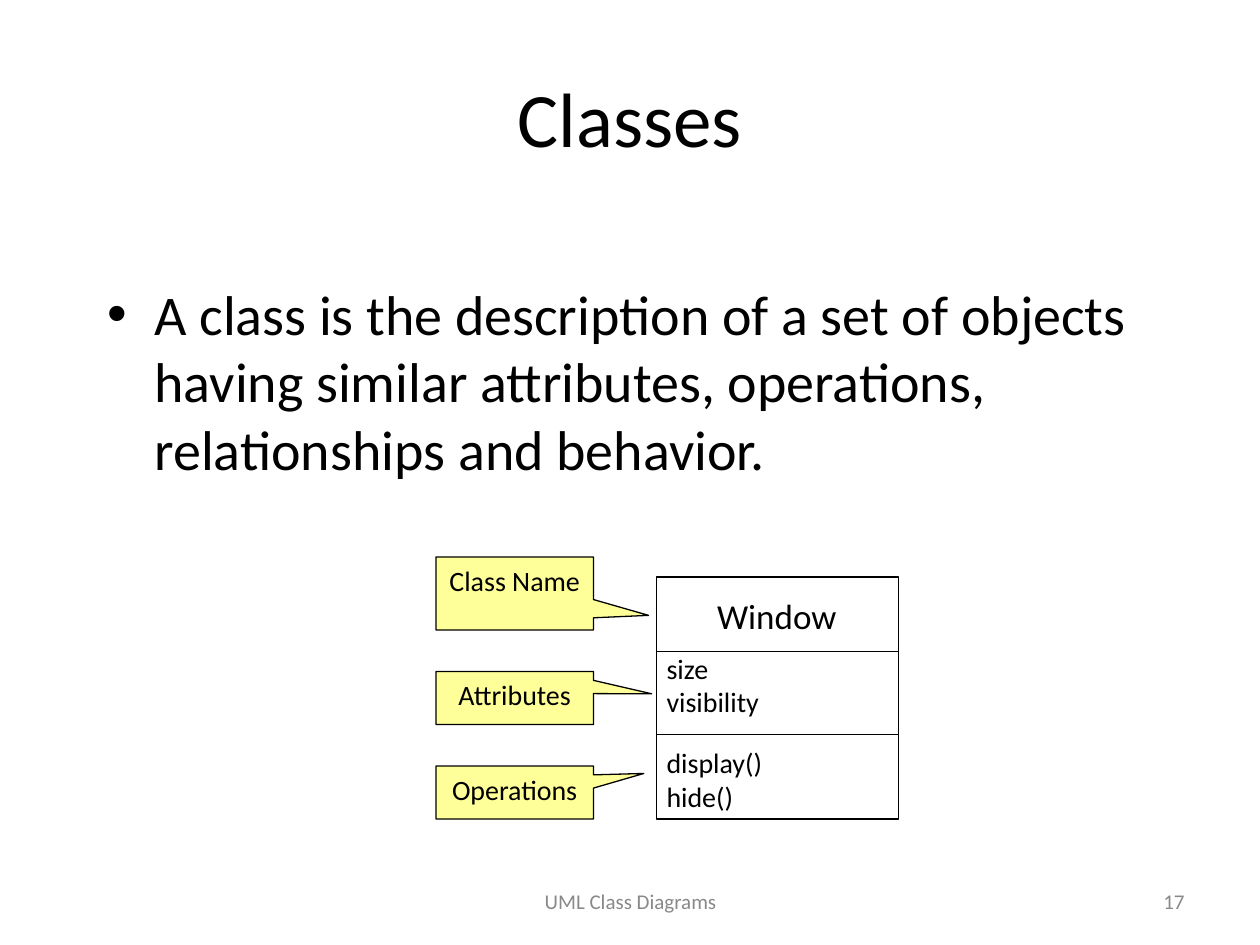
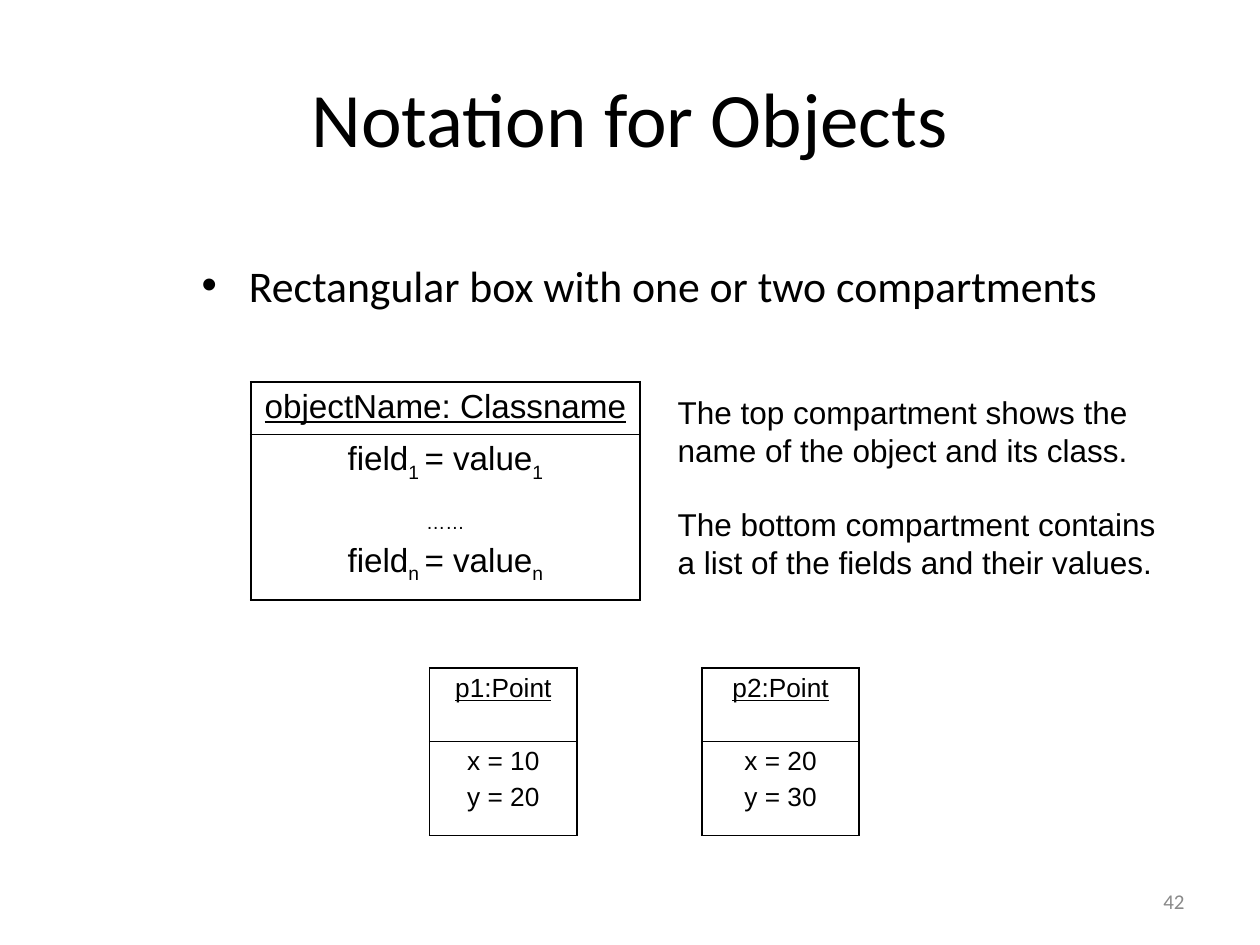
import pptx
import pptx.util
import pptx.dml.color
import pptx.enum.shapes
import pptx.enum.text
import pptx.oxml
import pptx.oxml.ns

Inches = pptx.util.Inches
Pt = pptx.util.Pt
ALIGN = pptx.enum.text.PP_ALIGN
ANCHOR = pptx.enum.text.MSO_ANCHOR
SHAPE = pptx.enum.shapes.MSO_SHAPE

BLACK = "000000"
GREY = "898989"
YELLOW = "FFFF99"
HEADING_FONT = "Calibri"
NOTATION_FONT = "Arial"


def rgb(value):
    return pptx.dml.color.RGBColor.from_string(value)


def write(frame, paragraphs, size=16, font=HEADING_FONT, color=BLACK,
          align=ALIGN.LEFT, before=0, underline=False):
    """Fill a frame; in a paragraph given as a list, every second part is subscript."""
    for index, content in enumerate(paragraphs):
        paragraph = frame.paragraphs[0] if index == 0 else frame.add_paragraph()
        paragraph.alignment = align
        paragraph.space_before = Pt(before if index else 0)
        parts = [content] if isinstance(content, str) else content
        for position, part in enumerate(parts):
            for line_number, line in enumerate(part.split("\n")):
                if line_number:
                    paragraph.add_line_break()
                if not line:
                    continue
                run = paragraph.add_run()
                run.text = line
                run.font.size = Pt(size)
                run.font.name = font
                run.font.color.rgb = rgb(color)
                run.font.underline = underline
                if position % 2:
                    run._r.get_or_add_rPr().set("baseline", "-25000")


def set_borders(cell, **widths):
    """Draw cell borders; keywords L, R, T, B give widths in points."""
    properties = cell._tc.get_or_add_tcPr()
    for index, side in enumerate("LRTB"):
        properties.insert(index, pptx.oxml.parse_xml(
            f'<a:ln{side} {pptx.oxml.ns.nsdecls("a")} w="{Pt(widths[side])}">'
            f'<a:solidFill><a:srgbClr val="{BLACK}"/></a:solidFill></a:ln{side}>'))


class Deck:
    """Holds the presentation, its shared style and the current slide."""

    def __init__(self):
        self.presentation = pptx.Presentation()
        self.presentation.slide_width = Inches(10)
        self.presentation.slide_height = Inches(7.5)

    def add_slide(self, title, number):
        layout = self.presentation.slide_layouts[1]
        self.slide = self.presentation.slides.add_slide(layout)
        self.shapes = self.slide.shapes
        self.placeholder(0, [title], (0.5, 0.3, 9, 1.25), ANCHOR.MIDDLE,
                         size=44, align=ALIGN.CENTER)
        self.footer(str(number), 7.17, 2.33, ALIGN.RIGHT)

    def placeholder(self, index, paragraphs, box, anchor, **style):
        shape = self.slide.placeholders[index]
        shape.left, shape.top, shape.width, shape.height = map(Inches, box)
        frame = shape.text_frame
        frame.auto_size = pptx.enum.text.MSO_AUTO_SIZE.NONE
        frame.vertical_anchor = anchor
        write(frame, paragraphs, **style)

    def bullets(self, paragraphs, box, size):
        self.placeholder(1, paragraphs, box, ANCHOR.TOP, size=size)

    def footer(self, text, left, width, align):
        self.text([text], (left, 6.95, width, 0.4), anchor=ANCHOR.MIDDLE,
                  size=12, color=GREY, align=align)

    def text(self, paragraphs, box, anchor=ANCHOR.TOP, inset=True, **style):
        frame = self.shapes.add_textbox(*map(Inches, box)).text_frame
        frame.word_wrap = True
        frame.vertical_anchor = anchor
        if not inset:
            frame.margin_left = frame.margin_right = 0
            frame.margin_top = frame.margin_bottom = 0
        write(frame, paragraphs, **style)

    def shape(self, kind, box, fill=None):
        shape = self.shapes.add_shape(kind, *map(Inches, box))
        shape.shadow.inherit = False
        if fill:
            shape.fill.solid()
            shape.fill.fore_color.rgb = rgb(fill)
        else:
            shape.fill.background()
        self.outline(shape)
        return shape

    def outline(self, shape):
        shape.line.color.rgb = rgb(BLACK)
        shape.line.width = Pt(0.75)

    def divider(self, left, right, top):
        line = self.shapes.add_connector(
            pptx.enum.shapes.MSO_CONNECTOR.STRAIGHT,
            Inches(left), Inches(top), Inches(right), Inches(top))
        self.outline(line)
        line._element.spPr.append(pptx.oxml.parse_xml(
            f'<a:effectLst {pptx.oxml.ns.nsdecls("a")}/>'))

    def callout(self, label, top, height, tip):
        shape = self.shape(SHAPE.RECTANGULAR_CALLOUT, (3.46, top, 1.25, height), YELLOW)
        shape.adjustments[0], shape.adjustments[1] = tip
        shape.text_frame.word_wrap = True
        shape.text_frame.vertical_anchor = ANCHOR.TOP
        write(shape.text_frame, [label], align=ALIGN.CENTER)

    def class_box(self, name, attributes, operations):
        """Group a class symbol of three compartments."""
        left, top, side = 5.21, 4.58, 1.92
        self.shapes = self.slide.shapes.add_group_shape().shapes
        self.shape(SHAPE.RECTANGLE, (left, top, side, side))
        for divider_top in (5.17, 5.83):
            self.divider(left, left + side, divider_top)
        self.text([name], (5.29, 4.67, 1.75, 0.44), size=20, align=ALIGN.CENTER)
        for members, members_top in ((attributes, 5.17), (operations, 5.92)):
            self.text([members], (5.29, members_top, 1.75, 0.53),
                      anchor=ANCHOR.MIDDLE, inset=False)
        self.shapes = self.slide.shapes

    def object_table(self, name, fields, position, width, heights, size, before):
        """Draw an object symbol: underlined name above its field values."""
        box = (*position, width, sum(heights))
        table = self.shapes.add_table(2, 1, *map(Inches, box)).table
        table.first_row = table.horz_banding = False
        outer, inner = 1.08, 0.45
        for row, paragraphs in enumerate(([name], fields)):
            table.rows[row].height = Inches(heights[row])
            cell = table.cell(row, 0)
            cell.fill.background()
            set_borders(cell, L=outer, R=outer,
                        T=inner if row else outer, B=outer if row else inner)
            write(cell.text_frame, paragraphs, size=size, font=NOTATION_FONT,
                  align=ALIGN.CENTER, before=before, underline=row == 0)


def classes_slide(deck):
    deck.add_slide("Classes", 17)
    deck.footer("UML Class Diagrams", 3.42, 3.17, ALIGN.CENTER)
    deck.bullets(["A class is the description of a set of objects having similar "
                  "attributes, operations, relationships and behavior."],
                 (0.75, 2.17, 8.5, 1.83), 32)
    deck.class_box("Window", "size\nvisibility", "display()\nhide()")
    deck.callout("Class Name", 4.42, 0.58, (0.85, 0.3))
    deck.callout("Attributes", 5.33, 0.42, (0.87, -0.08))
    deck.callout("Operations", 6.08, 0.42, (0.82, -0.36))


def objects_slide(deck):
    deck.add_slide("Notation for Objects", 42)
    deck.bullets(["Rectangular box with one or two compartments"],
                 (1.5, 2, 8, 0.81), 25)
    deck.object_table("objectName: Classname",
                      [["field", "1 ", "= value", "1"],
                       ["", "……"],
                       ["field", "n ", "= value", "n"]],
                      (1.99, 3.03), 3.09, (0.42, 1.31), size=19, before=4.8)
    deck.text(["The top compartment shows the name of the object and its class.",
               "The bottom compartment contains a list of the fields and their values."],
              (5.28, 3.07, 4, 1.6), size=18, font=NOTATION_FONT, before=20.7)
    for name, x, y, left, width in (("p1", 10, 20, 3.41, 1.17),
                                    ("p2", 20, 30, 5.57, 1.25)):
        deck.object_table(f"{name}:Point", [f"x = {x}", f"y = {y}"],
                          (left, 5.3), width, (0.58, 0.75), size=15, before=3.7)


def main():
    deck = Deck()
    classes_slide(deck)
    objects_slide(deck)
    deck.presentation.save("out.pptx")


if __name__ == "__main__":
    main()
